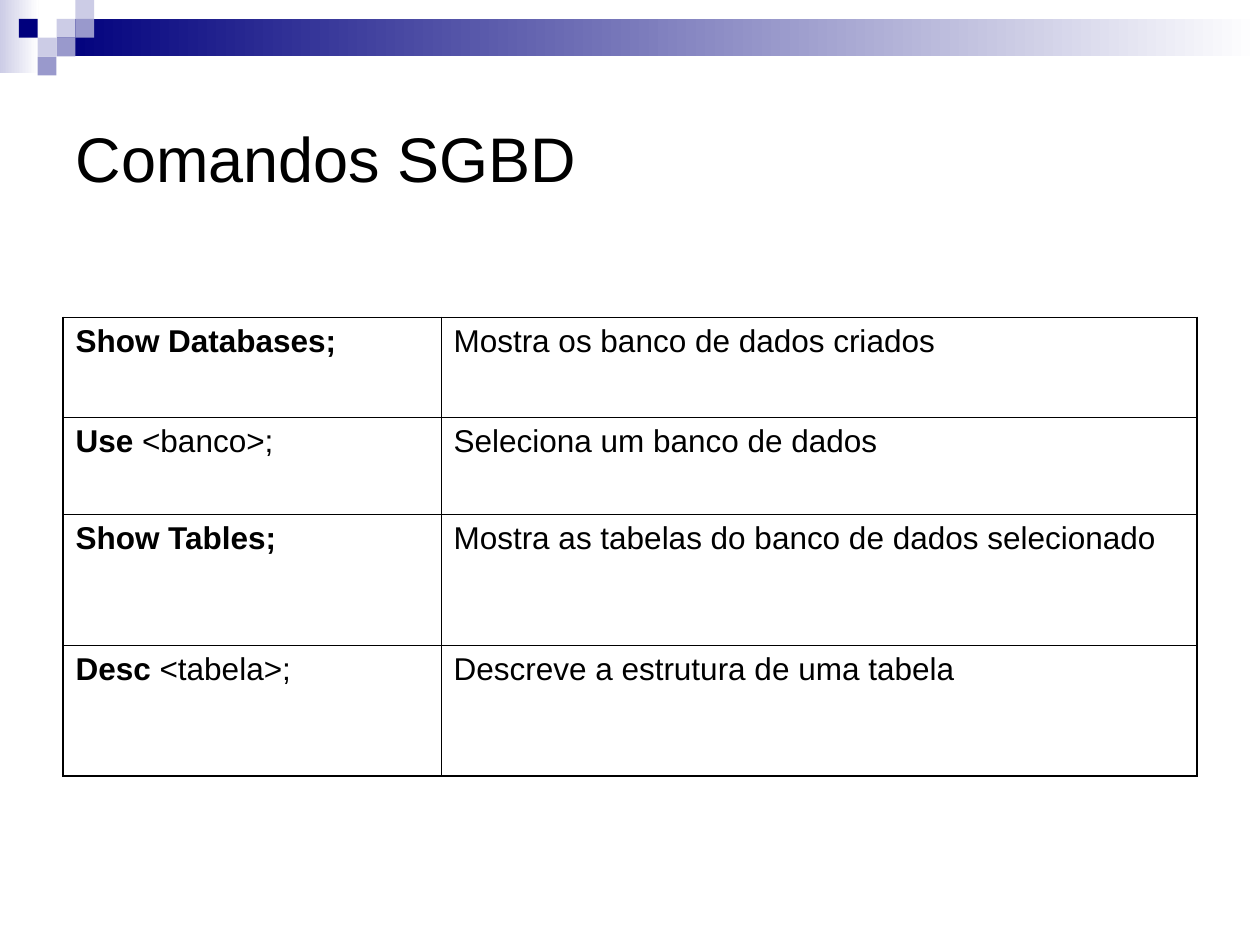
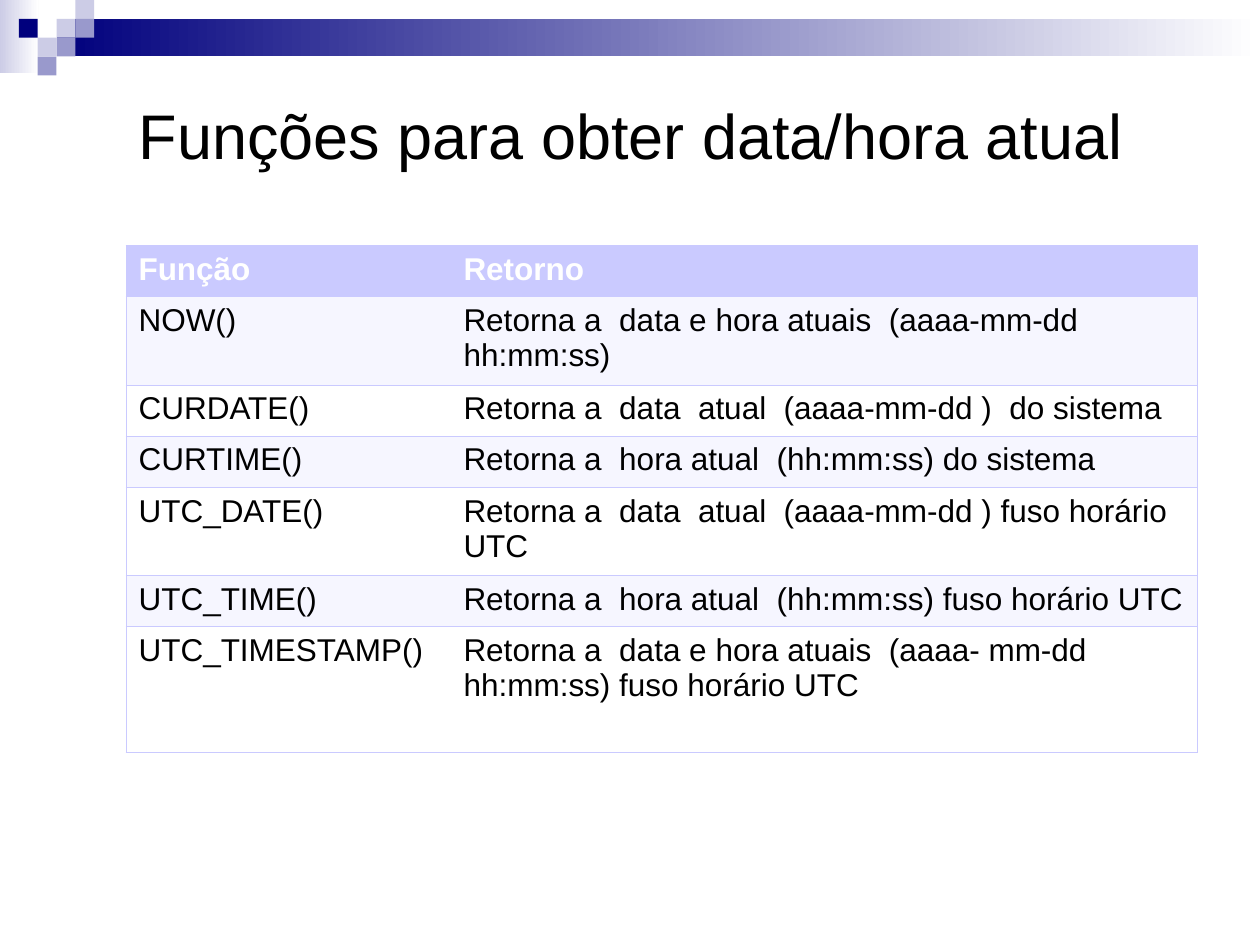
from lxml.etree import SubElement as Sub
from pptx import Presentation as Deck
from pptx.dml.color import RGBColor as RGB
from pptx.enum.shapes import MSO_SHAPE as Kind
from pptx.enum.text import MSO_ANCHOR as Anchor, MSO_AUTO_SIZE as Auto, PP_ALIGN as Align
from pptx.oxml.ns import qn
from pptx.util import Cm, Pt

FONT = "Arial"
BLACK = RGB(0x00, 0x00, 0x00)
WHITE = RGB(0xFF, 0xFF, 0xFF)
NAVY = RGB(0x00, 0x00, 0x7D)
MID = RGB(0x99, 0x99, 0xCC)
PALE = RGB(0xCC, 0xCC, 0xE6)
LILAC = RGB(0xCA, 0xCA, 0xFF)
MIST = RGB(0xF6, 0xF6, 0xFF)

THIN, THICK = Pt(0.45), Pt(1.08)
STEP = 0.38
TILES = [
    (3, 1, PALE), (4, 0, PALE), (4, 1, MID), (2, 2, PALE),
    (1, 1, NAVY), (3, 2, MID), (2, 3, MID),
]

USAGE = [
    ("Show Databases;", "", "Mostra os banco de dados criados"),
    ("Use", " <banco>;", "Seleciona um banco de dados"),
    ("Show Tables;", "", "Mostra as tabelas do banco de dados selecionado"),
    ("Desc", " <tabela>;", "Descreve a estrutura de uma tabela"),
]
CLOCK = [
    ("Função", "Retorno"),
    ("NOW()", "Retorna a  data e hora atuais  (aaaa-mm-dd  hh:mm:ss)"),
    ("CURDATE()", "Retorna a  data  atual  (aaaa-mm-dd )  do sistema"),
    ("CURTIME()", "Retorna a  hora atual  (hh:mm:ss) do sistema"),
    ("UTC_DATE()", "Retorna a  data  atual  (aaaa-mm-dd ) fuso horário UTC"),
    ("UTC_TIME()", "Retorna a  hora atual  (hh:mm:ss) fuso horário UTC"),
    ("UTC_TIMESTAMP()",
     "Retorna a  data e hora atuais  (aaaa- mm-dd  hh:mm:ss) fuso horário UTC"),
]


def add_box(slide, left, top, width, height, tint, fade=False):
    box = slide.shapes.add_shape(Kind.RECTANGLE, Cm(left), Cm(top), Cm(width), Cm(height))
    box.shadow.inherit = False
    box.line.fill.background()
    if fade:
        box.fill.gradient()
        box.fill.gradient_angle = 0
        for stop, color in zip(box.fill.gradient_stops, (tint, WHITE)):
            stop.color.rgb = color
    else:
        box.fill.solid()
        box.fill.fore_color.rgb = tint
    return box


def add_band(slide, layout):
    boxes = [
        add_box(slide, 0, 0, 0.78, 1.47, PALE, True),
        add_box(slide, 3 * STEP, STEP, 25.4 - 3 * STEP, 2 * STEP, NAVY, True),
    ]
    boxes += [add_box(slide, col * STEP, row * STEP, STEP, STEP, tint)
              for col, row, tint in TILES]
    first = layout.placeholders[0].element
    for num, box in enumerate(boxes, 50):
        box.element.nvSpPr.cNvPr.set("id", str(num))
        first.addprevious(box.element)


def set_title(slide, text, left, top, width, height):
    title = slide.shapes.title
    title.left, title.top = Cm(left), Cm(top)
    title.width, title.height = Cm(width), Cm(height)
    frame = title.text_frame
    frame.text = text
    frame.word_wrap = True
    frame.auto_size = Auto.NONE
    frame.vertical_anchor = Anchor.MIDDLE
    par = frame.paragraphs[0]
    par.alignment = Align.LEFT
    set_font(par.font, 36, BLACK)


def set_font(font, size, color):
    font.name = FONT
    font.size = Pt(size)
    font.color.rgb = color


def add_grid(slide, left, top, cols, rows):
    frame = slide.shapes.add_table(
        len(rows), len(cols), Cm(left), Cm(top), Cm(sum(cols)), Cm(sum(rows)))
    grid = frame.table
    grid.horz_banding = False
    for col, width in zip(grid.columns, cols):
        col.width = Cm(width)
    for row, height in zip(grid.rows, rows):
        row.height = Cm(height)
    return grid


def set_edges(cell, color, **sides):
    props = cell._tc.get_or_add_tcPr()
    for side in "LRTB":
        width = sides[side]
        line = Sub(props, qn(f"a:ln{side}"), w=str(width))
        if width:
            fill = Sub(line, qn("a:solidFill"))
            Sub(fill, qn("a:srgbClr"), val=str(color))
        else:
            Sub(line, qn("a:noFill"))


def write(cell, parts, color=BLACK):
    par = cell.text_frame.paragraphs[0]
    for text, bold in parts:
        if text:
            run = par.add_run()
            run.text = text
            run.font.bold = bold
            set_font(run.font, 18, color)


def fill_usage(slide):
    grid = add_grid(slide, 1.27, 6.4, [7.62, 15.24], [2.01, 1.96, 2.64, 2.64])
    grid.first_row = False
    last = len(USAGE) - 1
    for row, (key, arg, note) in enumerate(USAGE):
        for col, parts in enumerate([[(key, True), (arg, False)], [(note, False)]]):
            cell = grid.cell(row, col)
            write(cell, parts)
            set_edges(
                cell, BLACK,
                L=THIN if col else THICK,
                R=THICK if col else THIN,
                T=THIN if row else THICK,
                B=THICK if row == last else THIN)
            cell.fill.background()


def fill_clock(slide):
    short, tall = 1.03, 1.78
    grid = add_grid(slide, 2.54, 4.95, [6.55, 15.04],
                    [short, tall, short, short, tall, short, 2.54])
    for row, texts in enumerate(CLOCK):
        head = row == 0
        tint = LILAC if head else MIST if row % 2 else WHITE
        for col, text in enumerate(texts):
            cell = grid.cell(row, col)
            write(cell, [(text, head)], WHITE if head else BLACK)
            set_edges(cell, LILAC, L=0 if col else THIN, R=THIN if col else 0,
                      T=THIN, B=THIN)
            cell.fill.solid()
            cell.fill.fore_color.rgb = tint


def main():
    deck = Deck()
    deck.slide_width, deck.slide_height = Cm(25.4), Cm(19.05)
    layout = deck.slide_layouts[5]

    slide = deck.slides.add_slide(layout)
    add_band(slide, layout)
    set_title(slide, "Comandos SGBD", 1.27, 1.27, 22.86, 3.81)
    fill_usage(slide)

    slide = deck.slides.add_slide(layout)
    set_title(slide, "Funções para obter data/hora atual", 2.54, 1.43, 22.86, 2.54)
    fill_clock(slide)

    deck.save("out.pptx")


if __name__ == "__main__":
    main()
